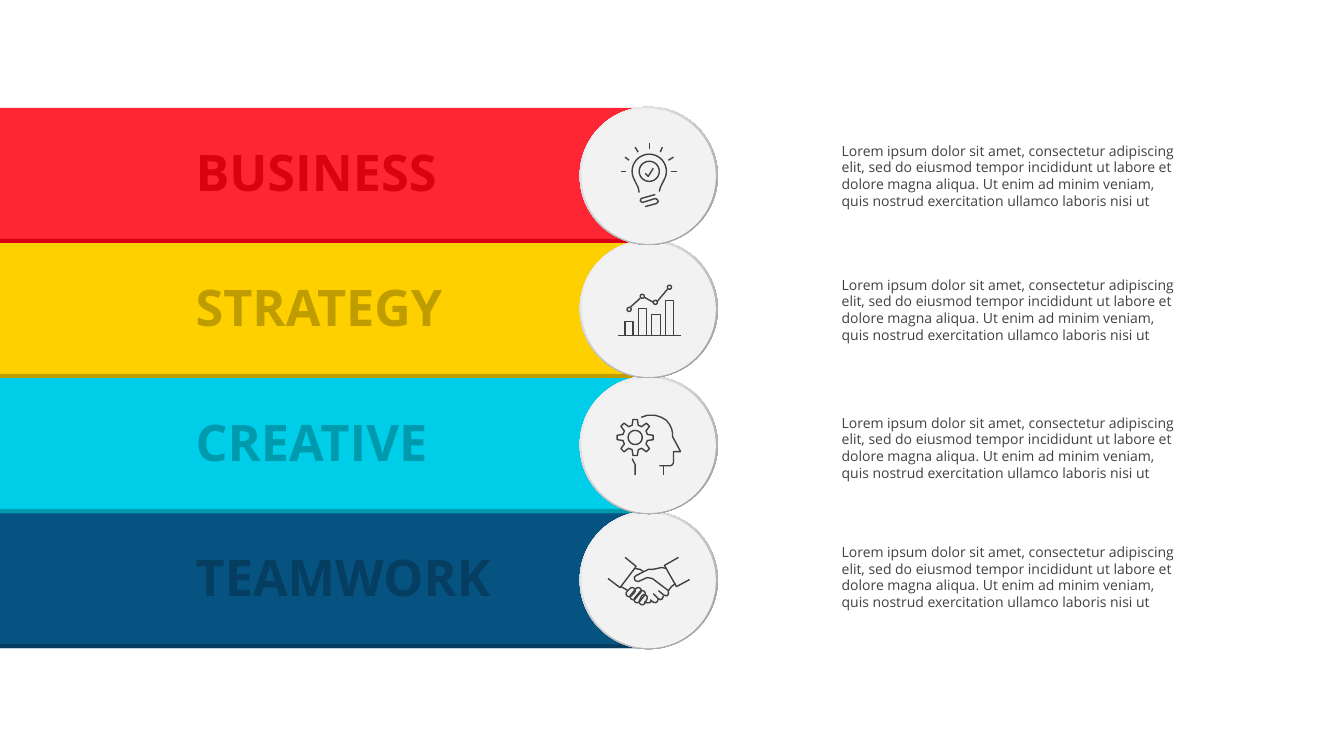
from math import atan2, cos, degrees, radians, sin

from pptx import Presentation
from pptx.dml.color import RGBColor
from pptx.enum.shapes import MSO_SHAPE as Preset
from pptx.util import Inches, Pt


def arc(cx, cy, radius, start=0, end=360):
    steps = 24
    angles = [radians(start + (end - start) * i / steps) for i in range(steps + 1)]
    return [(cx + radius * cos(a), cy + radius * sin(a)) for a in angles]


def box(left, top, right, bottom):
    return [(left, top), (right, top), (right, bottom), (left, bottom), (left, top)]


def finger(x1, y1, x2, y2, radius=0.03):
    turn = degrees(atan2(y2 - y1, x2 - x1))
    outline = arc(x1, y1, radius, turn + 90, turn + 270) + arc(x2, y2, radius, turn - 90, turn + 90)
    return outline + outline[:1]


def gear(cx, cy, teeth=8):
    corners = [(0.125, -14), (0.18, -7), (0.18, 7), (0.125, 14)]
    outline = [
        (cx + radius * cos(radians(tooth * 360 / teeth + turn)),
         cy + radius * sin(radians(tooth * 360 / teeth + turn)))
        for tooth in range(teeth) for radius, turn in corners
    ]
    return outline + outline[:1]


INK = RGBColor(0x41, 0x40, 0x42)
DISC = RGBColor(0xF2, 0xF2, 0xF2)
RING_DARK = RGBColor(0x97, 0x97, 0x97)
RING_LIGHT = RGBColor(0xFF, 0xFF, 0xFF)
RED, DARK_RED = RGBColor(0xFE, 0x26, 0x35), RGBColor(0xDA, 0x01, 0x10)
YELLOW, DARK_YELLOW = RGBColor(0xFF, 0xD0, 0x00), RGBColor(0xBF, 0x9C, 0x00)
CYAN, DARK_CYAN = RGBColor(0x00, 0xCE, 0xE8), RGBColor(0x00, 0x9A, 0xAE)
BLUE, DARK_BLUE = RGBColor(0x06, 0x53, 0x81), RGBColor(0x05, 0x3E, 0x61)

LOREM = (
    "Lorem ipsum dolor sit amet, consectetur adipiscing elit, sed do eiusmod tempor "
    "incididunt ut labore et dolore magna aliqua. Ut enim ad minim veniam, quis nostrud "
    "exercitation ullamco laboris nisi ut"
)

BULB = [
    [(6.34, 1.91), (6.33, 1.86)] + arc(6.44, 1.7, 0.17, 150, 390) + [(6.55, 1.86), (6.54, 1.9)],
    arc(6.44, 1.7, 0.1),
    [(6.4, 1.72), (6.43, 1.75), (6.48, 1.67)],
    [(6.44, 1.48), (6.44, 1.42)],
    [(6.33, 1.51), (6.3, 1.46)],
    [(6.2, 1.56), (6.24, 1.59)],
    [(6.16, 1.7), (6.21, 1.7)],
    [(6.57, 1.46), (6.55, 1.51)],
    [(6.68, 1.56), (6.63, 1.59)],
    [(6.66, 1.7), (6.72, 1.7)],
    [(6.5, 1.93), (6.36, 1.97), (6.35, 1.99), (6.37, 2.01), (6.5, 1.97),
     (6.52, 1.98), (6.53, 2), (6.51, 2.02), (6.4, 2.05)],
]
GROWTH = [
    [(6.13, 3.33), (6.75, 3.33)],
    box(6.2, 3.19, 6.28, 3.33),
    box(6.33, 3.06, 6.41, 3.33),
    box(6.46, 3.12, 6.55, 3.33),
    box(6.6, 2.98, 6.68, 3.33),
    arc(6.24, 3.07, 0.02),
    arc(6.37, 2.94, 0.02),
    arc(6.5, 3, 0.02),
    arc(6.64, 2.85, 0.02),
    [(6.25, 3.05), (6.35, 2.96)],
    [(6.39, 2.95), (6.48, 3)],
    [(6.52, 2.99), (6.62, 2.87)],
]
THINKER = [
    [(6.36, 4.14), (6.42, 4.12), (6.5, 4.12), (6.56, 4.14), (6.61, 4.17), (6.64, 4.21),
     (6.66, 4.25), (6.67, 4.29), (6.67, 4.33), (6.75, 4.48), (6.68, 4.48), (6.68, 4.59),
     (6.67, 4.61), (6.65, 4.62), (6.54, 4.62)],
    [(6.58, 4.62), (6.58, 4.71)],
    [(6.3, 4.71), (6.3, 4.61), (6.27, 4.55)],
    gear(6.3, 4.34),
    arc(6.3, 4.34, 0.07),
]
HANDSHAKE = [
    finger(6.24, 5.89, 6.27, 5.86),
    finger(6.28, 5.92, 6.33, 5.86),
    finger(6.32, 5.95, 6.37, 5.89),
    finger(6.37, 5.97, 6.39, 5.93),
    [(6.53, 5.86), (6.58, 5.9), (6.6, 5.91), (6.62, 5.91), (6.63, 5.89), (6.63, 5.86)],
    [(6.48, 5.89), (6.53, 5.94), (6.55, 5.95), (6.57, 5.94), (6.58, 5.91)],
    [(6.45, 5.95), (6.47, 5.97), (6.5, 5.98), (6.52, 5.97), (6.53, 5.94)],
    [(6.39, 5.97), (6.41, 5.98), (6.44, 5.98), (6.47, 5.96)],
    [(6.73, 5.53), (6.59, 5.61), (6.71, 5.82), (6.84, 5.75)],
    [(6.61, 5.64), (6.56, 5.63), (6.52, 5.64), (6.47, 5.65), (6.43, 5.65), (6.31, 5.71),
     (6.29, 5.73), (6.3, 5.76), (6.33, 5.77), (6.42, 5.73), (6.47, 5.74), (6.63, 5.86),
     (6.66, 5.82), (6.7, 5.79)],
    [(6.03, 5.74), (6.15, 5.83), (6.31, 5.62), (6.2, 5.53)],
    [(6.16, 5.82), (6.23, 5.86)],
    [(6.38, 5.67), (6.35, 5.65), (6.3, 5.64)],
]

STEPS = [
    {"title": "BUSINESS", "bright": RED, "dark": DARK_RED, "icon": BULB, "ring": 1.06, "body": 1.36},
    {"title": "STRATEGY", "bright": YELLOW, "dark": DARK_YELLOW, "icon": GROWTH, "ring": 2.38, "body": 2.69},
    {"title": "CREATIVE", "bright": CYAN, "dark": DARK_CYAN, "icon": THINKER, "ring": 3.73, "body": 4.06},
    {"title": "TEAMWORK", "bright": BLUE, "dark": DARK_BLUE, "icon": HANDSHAKE, "ring": 5.07, "body": 5.34},
]
BAND_TOP, BAND_HEIGHT, BAND_TURN, EDGE = 1.07, 1.34, 6.44, 0.04
TITLE_FRAME = {"word_wrap": True, "margin_left": 0, "margin_top": 0, "margin_right": 0, "margin_bottom": 0}
TITLE_FONT = {"name": "Open Sans", "size": Pt(36), "bold": True}
BODY_FRAME = {"word_wrap": True}
BODY_FONT = {"name": "Open Sans", "size": Pt(10)}

deck = Presentation()
deck.slide_width, deck.slide_height = Inches(13.33), Inches(7.5)
slide = deck.slides.add_slide(deck.slide_layouts[6])


def draw(strokes, fill=None):
    strokes = [[(Inches(x), Inches(y)) for x, y in stroke] for stroke in strokes]
    outline = slide.shapes.build_freeform(*strokes[0][0], scale=1.0)
    for number, stroke in enumerate(strokes):
        if number:
            outline.move_to(*stroke[0])
        outline.add_line_segments(stroke[1:], close=fill is not None)
    drawing = outline.convert_to_shape()
    drawing.shadow.inherit = False
    if fill is None:
        drawing.fill.background()
        drawing.line.color.rgb = INK
        drawing.line.width = Pt(1)
    else:
        drawing.fill.solid()
        drawing.fill.fore_color.rgb = fill
        drawing.line.fill.background()


def circle(left, top, width, height):
    disc = slide.shapes.add_shape(Preset.OVAL, Inches(left), Inches(top), Inches(width), Inches(height))
    disc.shadow.inherit = False
    disc.line.fill.background()
    return disc.fill


def write(words, place, frame_format, font_format, color):
    frame = slide.shapes.add_textbox(*map(Inches, place)).text_frame
    frame.text = words
    font = frame.paragraphs[0].runs[0].font
    for target, values in ((frame, frame_format), (font, font_format)):
        for name, value in values.items():
            setattr(target, name, value)
    font.color.rgb = color


for row, step in reversed(list(enumerate(STEPS))):
    top = BAND_TOP + row * BAND_HEIGHT
    bottom, radius = top + BAND_HEIGHT, BAND_HEIGHT / 2
    middle = top + radius
    draw([[(0, bottom), (0, top)] + arc(BAND_TURN, middle, radius, -90, 90)], step["bright"])
    draw([[(0, bottom - EDGE), (0, bottom)] + arc(BAND_TURN, middle, radius, 90, 0)
          + arc(BAND_TURN, middle - EDGE, radius, 0, 90)], step["dark"])
    write(step["title"], (1.94, top + 0.33, 3.4, 0.61), TITLE_FRAME, TITLE_FONT, step["dark"])

for step in reversed(STEPS):
    ring = circle(5.75, step["ring"], 1.37, 1.37)
    ring.gradient()
    ring.gradient_angle = 135
    for stop, color in zip(ring.gradient_stops, (RING_DARK, RING_LIGHT)):
        stop.color.rgb = color
    disc = circle(5.77, step["ring"] + 0.02, 1.33, 1.34)
    disc.solid()
    disc.fore_color.rgb = DISC

for step in STEPS:
    draw(step["icon"])
    write(LOREM, (8.25, step["body"], 3.56, 0.77), BODY_FRAME, BODY_FONT, INK)

deck.save("out.pptx")
